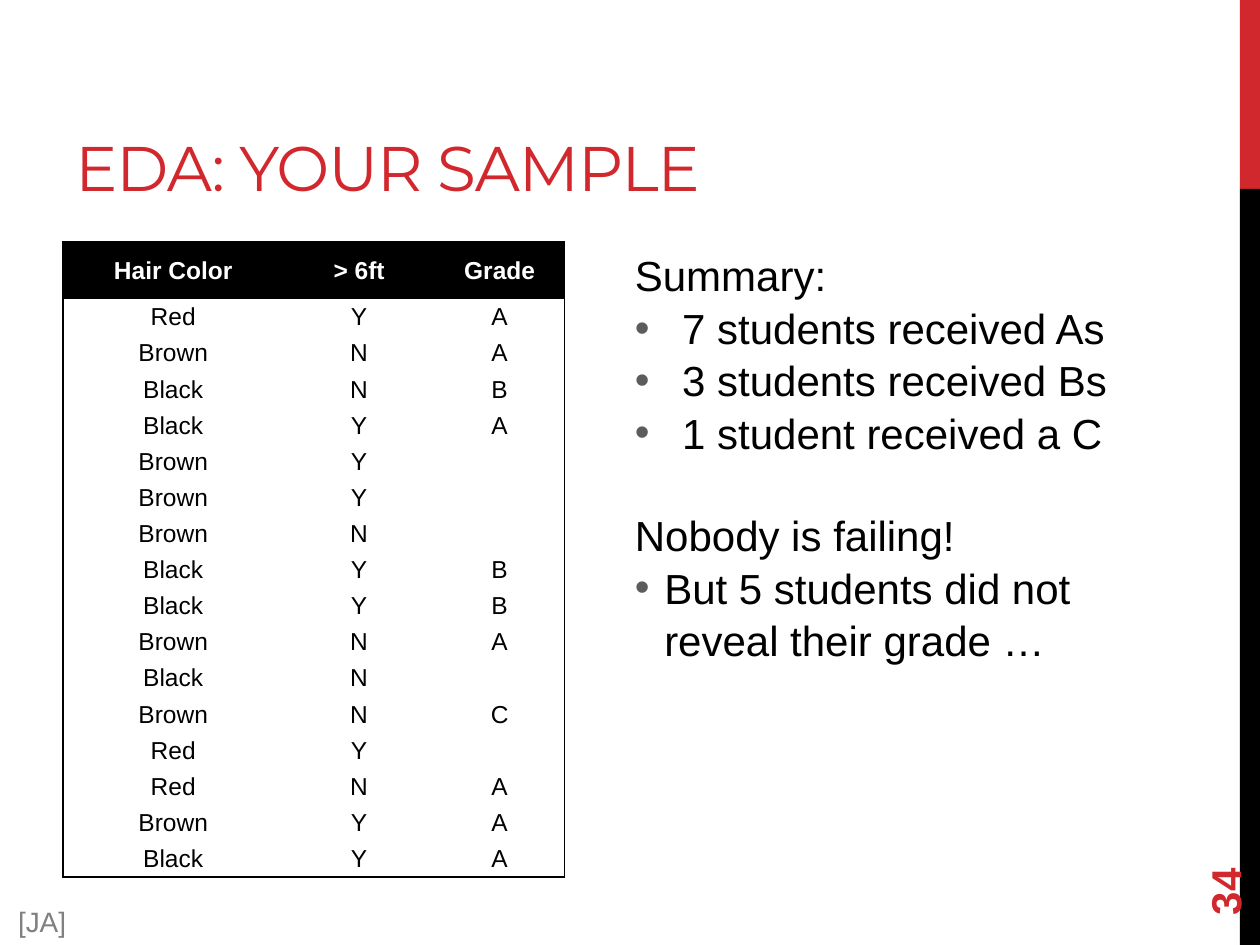
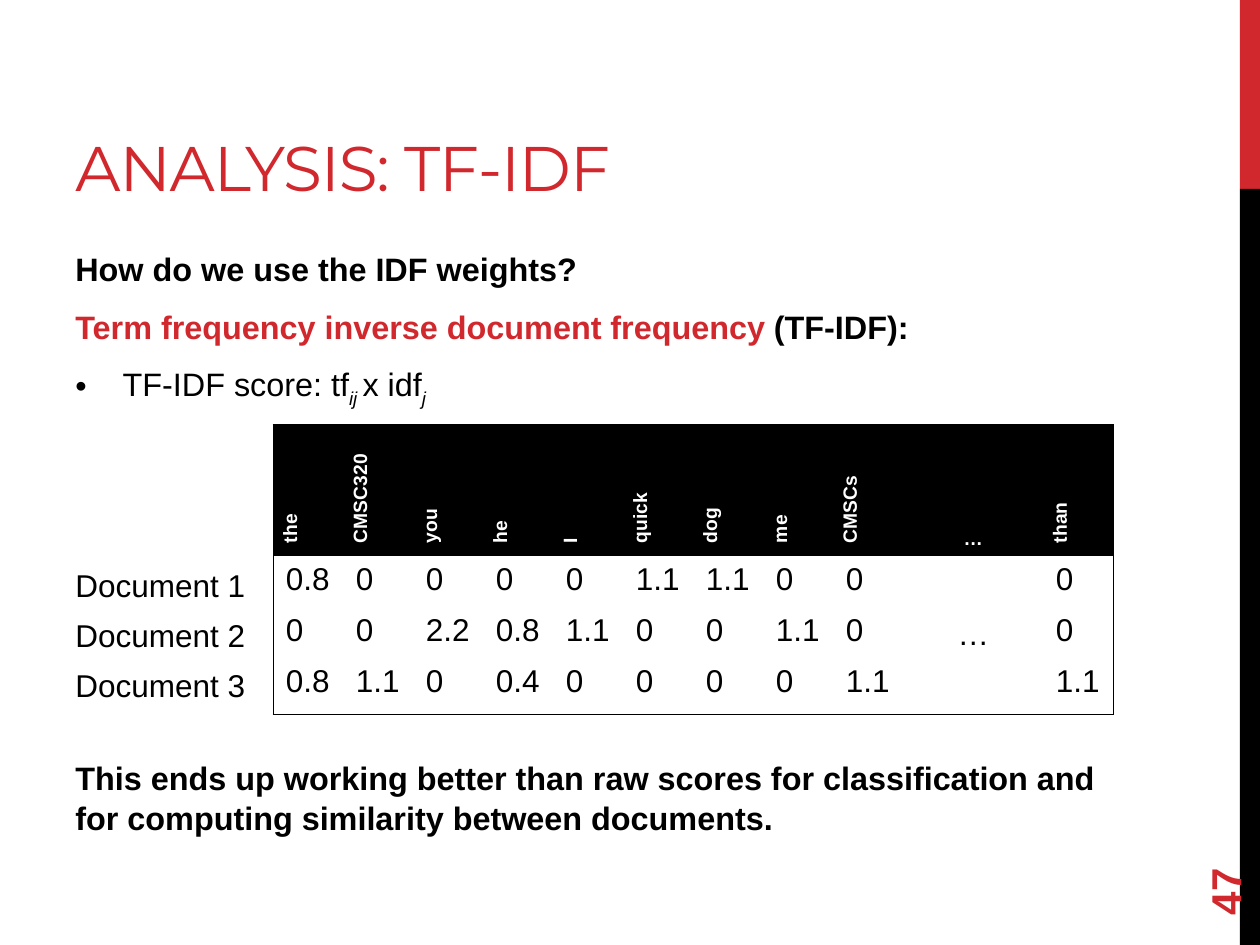
from lxml import etree
from pptx import Presentation
from pptx.dml.color import RGBColor
from pptx.enum import shapes, text
from pptx.oxml.ns import qn
from pptx.util import Pt

COLORS = {"red": "D1282E", "black": "000000", "white": "FFFFFF",
          "bullet": "5C5C5C", "credit": "808080"}
BODY_FONT, TITLE_FONT = "Arial", "Montserrat"
NO_STYLE = "{2D5ABB26-0587-4C30-8999-92F81FD0307C}"
LINE_SPACING = 1.04

GRADES_HEADER = ["Hair Color", "> 6ft", "Grade"]
STUDENTS = [
    ("Red", "Y", "A"), ("Brown", "N", "A"), ("Black", "N", "B"), ("Black", "Y", "A"),
    ("Brown", "Y", ""), ("Brown", "Y", ""), ("Brown", "N", ""), ("Black", "Y", "B"),
    ("Black", "Y", "B"), ("Brown", "N", "A"), ("Black", "N", ""), ("Brown", "N", "C"),
    ("Red", "Y", ""), ("Red", "N", "A"), ("Brown", "Y", "A"), ("Black", "Y", "A"),
]
TERMS = ["the", "CMSC320", "you", "he", "I", "quick", "dog", "me", "CMSCs", "…", "than"]
SCORES = [
    ["0.8", "0", "0", "0", "0", "1.1", "1.1", "0", "0", "…", "0"],
    ["0", "0", "2.2", "0.8", "1.1", "0", "0", "1.1", "0", "", "0"],
    ["0.8", "1.1", "0", "0.4", "0", "0", "0", "0", "1.1", "", "1.1"],
]


def color(name):
    return RGBColor.from_string(COLORS[name])


def set_font(paragraph, size, color_name="black", bold=False, face=BODY_FONT):
    font = paragraph.font
    font.name, font.size, font.bold = face, Pt(size), bold
    font.color.rgb = color(color_name)


def add_bullet(paragraph, indent, color_name):
    properties = paragraph._p.get_or_add_pPr()
    properties.set("marL", str(Pt(indent)))
    properties.set("indent", str(-Pt(indent)))
    bullet_color = etree.SubElement(properties, qn("a:buClr"))
    etree.SubElement(bullet_color, qn("a:srgbClr"), val=COLORS[color_name])
    etree.SubElement(properties, qn("a:buFont"), typeface=BODY_FONT)
    etree.SubElement(properties, qn("a:buChar"), char="•")


def add_frame(slide, box, anchor=text.MSO_ANCHOR.TOP):
    frame = slide.shapes.add_textbox(*map(Pt, box)).text_frame
    frame.word_wrap = True
    frame.vertical_anchor = anchor
    return frame


def add_label(slide, box, wording, size, color_name="black", **style):
    frame = add_frame(slide, box)
    label = frame.paragraphs[0]
    label.add_run().text = wording
    set_font(label, size, color_name, **style)
    return frame


def add_paragraphs(frame, count):
    return [frame.paragraphs[0]] + [frame.add_paragraph() for _ in range(count - 1)]


def add_side_band(slide, box):
    left, top, width, height = box
    red_height = height / 5
    for name, y, band_height in (("red", top, red_height),
                                 ("black", top + red_height, height - red_height)):
        band = slide.shapes.add_shape(shapes.MSO_SHAPE.RECTANGLE,
                                      Pt(left), Pt(y), Pt(width), Pt(band_height))
        band.shadow.inherit = False
        band.fill.solid()
        band.fill.fore_color.rgb = color(name)
        band.line.fill.background()


def add_page_number(slide, box, number):
    frame = add_frame(slide, box, text.MSO_ANCHOR.MIDDLE)
    page = frame.paragraphs[0]
    page.add_run().text = str(number)
    set_font(page, 24, "red", bold=True)
    slide.shapes[-1].rotation = 270


def start_slide(deck, title, number):
    slide = deck.slides.add_slide(deck.slide_layouts[6])
    add_side_band(slide, (708.5, 0, 11.5, 540))
    heading = add_label(slide, (36, 12, 456, 108), title, 36, "red", face=TITLE_FONT)
    heading.vertical_anchor = text.MSO_ANCHOR.BOTTOM
    heading.paragraphs[0].runs[0]._r.get_or_add_rPr().set("spc", "-60")
    add_page_number(slide, (648, 463.7, 103.7, 28.8), number)
    return slide


def draw_border(cell, sides):
    properties = cell._tc.get_or_add_tcPr()
    for side in "LRTB":
        line = etree.SubElement(properties, qn("a:ln" + side), w=str(Pt(1)))
        if side in sides:
            fill = etree.SubElement(line, qn("a:solidFill"))
            etree.SubElement(fill, qn("a:srgbClr"), val=COLORS["black"])
        else:
            etree.SubElement(line, qn("a:noFill"))


def add_grid(slide, left, top, widths, heights, rows, sizes, merge=None, ruled=False):
    table = slide.shapes.add_table(len(rows), len(widths), Pt(left), Pt(top),
                                   Pt(sum(widths)), Pt(sum(heights))).table
    table._tbl.tblPr.find(qn("a:tableStyleId")).text = NO_STYLE
    table.horz_banding = False
    for column, width in zip(table.columns, widths):
        column.width = Pt(width)
    for row, height in zip(table.rows, heights):
        row.height = Pt(height)
    if merge:
        table.cell(*merge[0]).merge(table.cell(*merge[1]))
    for r, row in enumerate(rows):
        for c, wording in enumerate(row):
            cell = table.cell(r, c)
            merged = cell.is_merge_origin or cell.is_spanned
            end = r + (cell.span_height if cell.is_merge_origin else 1)
            at_side = {"L": c == 0, "R": c == len(widths) - 1, "T": r == 0,
                       "B": end == len(rows) or (ruled and not merged)}
            draw_border(cell, [side for side, shown in at_side.items() if shown])
            entry = cell.text_frame.paragraphs[0]
            if wording:
                entry.add_run().text = wording
            if r == 0:
                cell.fill.solid()
                cell.fill.fore_color.rgb = color("black")
                set_font(entry, sizes[0], "white", bold=True)
            else:
                cell.fill.background()
                set_font(entry, sizes[1])
    return table


def add_grades_table(slide, left, top):
    rows = [GRADES_HEADER] + STUDENTS
    table = add_grid(slide, left, top, [126, 86.4, 74.2],
                     [32.8] + [20.66] * len(STUDENTS), rows, (14, 14))
    for cell in table.iter_cells():
        cell.margin_left = cell.margin_right = cell.margin_top = cell.margin_bottom = 0
        cell.vertical_anchor = text.MSO_ANCHOR.MIDDLE
        cell.text_frame.paragraphs[0].alignment = text.PP_ALIGN.CENTER


def add_summary(slide, box):
    lines = [("Summary:", 0), ("7 students received As", 27), ("3 students received Bs", 27),
             ("1 student received a C", 27), ("Nobody is failing!", 0),
             ("But 5 students did not reveal their grade …", 16.8)]
    paragraphs = add_paragraphs(add_frame(slide, box), len(lines))
    for paragraph, (wording, indent) in zip(paragraphs, lines):
        paragraph.line_spacing = LINE_SPACING
        if wording.startswith("Nobody"):
            paragraph.space_before = Pt(28.8)
        if indent:
            add_bullet(paragraph, indent, "bullet")
        paragraph.add_run().text = wording
        set_font(paragraph, 24)


def add_weights_text(slide, box):
    question, term, score = add_paragraphs(add_frame(slide, box), 3)
    for paragraph in (question, term, score):
        paragraph.line_spacing = LINE_SPACING
        paragraph.space_after = Pt(6)
        if paragraph is not question:
            paragraph.space_before = Pt(3.7)
    add_bullet(score, 27, "black")
    question.add_run().text = "How do we use the IDF weights?"
    for wording, name in (("Term frequency inverse document frequency", "red"),
                          (" (TF-IDF):", "black")):
        run = term.add_run()
        run.text = wording
        run.font.color.rgb = color(name)
    for wording, subscript in (("TF-IDF score: tf", False), ("ij ", True),
                               ("x idf", False), ("j", True)):
        run = score.add_run()
        run.text = wording
        if subscript:
            run.font.italic = True
            run._r.get_or_add_rPr().set("baseline", "-25000")
    for paragraph in (question, term, score):
        set_font(paragraph, 18.5, bold=paragraph is not score)


def add_scores_table(slide, left, top):
    dots = TERMS.index("…")
    widths = [80 if c == dots else 40 for c in range(len(TERMS))]
    table = add_grid(slide, left, top, widths, [74.7, 29.3, 28.3, 32.6], [TERMS] + SCORES,
                     (11, 18), merge=((1, dots), (len(SCORES), dots)), ruled=True)
    for c in range(len(TERMS)):
        if c != dots:
            table.cell(0, c)._tc.get_or_add_tcPr().set("vert", "vert270")
    for r, anchor in enumerate((text.MSO_ANCHOR.BOTTOM, text.MSO_ANCHOR.MIDDLE)):
        cell = table.cell(r, dots)
        cell.vertical_anchor = anchor
        cell.text_frame.paragraphs[0].alignment = text.PP_ALIGN.CENTER


def add_document_labels(slide, box):
    left, top, width, height = box
    pitch = height / len(SCORES)
    for i in range(len(SCORES)):
        add_label(slide, (left, top + i * pitch, width, pitch), f"Document {i + 1}", 18)


def build_sample_slide(deck):
    slide = start_slide(deck, "EDA: YOUR SAMPLE", 34)
    add_grades_table(slide, 36, 138.2)
    add_summary(slide, (355.7, 138.2, 329.8, 239.8))
    credit = add_label(slide, (0, 513.4, 48.2, 26.6), "[JA]", 16, "credit")
    credit.paragraphs[0].alignment = text.PP_ALIGN.CENTER


def build_tfidf_slide(deck):
    slide = start_slide(deck, "ANALYSIS: TF-IDF", 47)
    add_weights_text(slide, (36, 138.2, 600, 100))
    add_scores_table(slide, 156.2, 242.8)
    add_document_labels(slide, (36, 319.7, 114.5, 86.4))
    closing = add_label(slide, (36, 428.5, 600, 54),
                        "This ends up working better than raw scores for classification "
                        "and for computing similarity between documents.", 18.5, bold=True)
    closing.paragraphs[0].line_spacing = LINE_SPACING


def main():
    deck = Presentation()
    deck.slide_width, deck.slide_height = Pt(720), Pt(540)
    build_sample_slide(deck)
    build_tfidf_slide(deck)
    deck.save("out.pptx")


if __name__ == "__main__":
    main()
